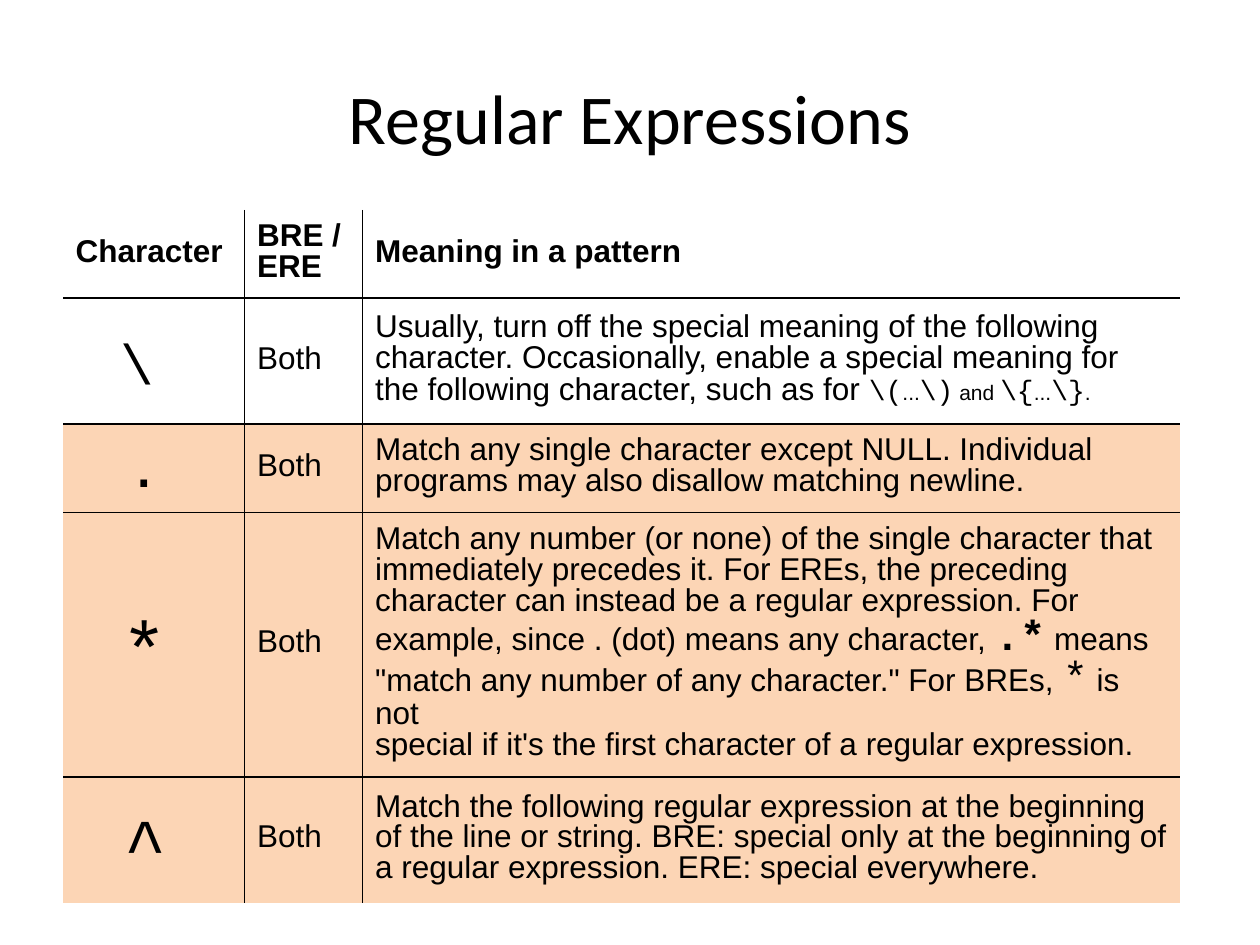
import pptx
import pptx.util
import pptx.oxml.ns
import pptx.dml.color
import pptx.enum.text
import lxml.etree

Pt = pptx.util.Pt
ALIGN = pptx.enum.text.PP_ALIGN
MIDDLE = pptx.enum.text.MSO_ANCHOR.MIDDLE
COLORS = {"ink": "000000", "peach": "FCD5B5"}
SANS, MONO = "Arial", "Courier New"
BODY = (18, SANS, False)
HEAD = (18, SANS, True)
CODE = (16, MONO, False)
SMALL = (12, SANS, False)

COLUMN_WIDTHS = [103.7, 67.5, 467]
ROW_HEIGHTS = [50.4, 72, 50.4, 151.2, 72]
HEADERS = [["Character"], ["BRE /", "ERE"], ["Meaning in a pattern"]]
ENTRIES = [
    ([("\\ ", (32, MONO, False))], 1.25, None, [
        "Usually, turn off the special meaning of the following",
        "character. Occasionally, enable a special meaning for",
        [("the following character, such as for ", BODY),
         ("\\(", CODE), ("...", SMALL), ("\\)", CODE), (" and ", SMALL),
         ("\\{", CODE), ("...", SMALL), ("\\}", CODE), (".", SMALL)],
    ]),
    ([(". ", (40, SANS, False))], 0.87, "peach", [
        "Match any single character except NULL. Individual",
        "programs may also disallow matching newline.",
    ]),
    ([("*", (44, MONO, False)), (" ", (36, SANS, False))], 1.25, "peach", [
        "Match any number (or none) of the single character that",
        "immediately precedes it. For EREs, the preceding",
        "character can instead be a regular expression. For",
        [("example, since . (dot) means any character, ", BODY),
         (".*", (24, MONO, True)), (" means", BODY)],
        [("\"match any number of any character.\" For BREs, ", BODY),
         ("*", (24, MONO, False)), (" is not", BODY)],
        [("special if it's the first character of a regular expression.", BODY),
         (" ", (10, SANS, False))],
    ]),
    ([("^", (40, MONO, False)), (" ", (32, SANS, False))], 1.25, "peach", [
        "Match the following regular expression at the beginning",
        "of the line or string. BRE: special only at the beginning of",
        "a regular expression. ERE: special everywhere.",
    ]),
]


def color(name):
    """Return the named colour."""
    return pptx.dml.color.RGBColor.from_string(COLORS[name])


def style_span(span, size, face, bold):
    """Format one run of text."""
    span.font.size = Pt(size)
    span.font.name = face
    span.font.bold = bold
    span.font.color.rgb = color("ink")


def write_lines(frame, lines, style=BODY, align=ALIGN.LEFT, spacing=0.87):
    """Write each line, a string or a list of styled spans, as a paragraph."""
    for index, line in enumerate(lines):
        para = frame.add_paragraph() if index else frame.paragraphs[0]
        para.alignment = align
        para.line_spacing = spacing
        for text, span_style in [(line, style)] if isinstance(line, str) else line:
            span = para.add_run()
            span.text = text
            style_span(span, *span_style)


def set_borders(cell, visible):
    """Draw the visible sides of a cell and clear the others."""
    properties = cell._tc.get_or_add_tcPr()
    qn = pptx.oxml.ns.qn
    for side in "LRTB":
        line = lxml.etree.SubElement(properties, qn(f"a:ln{side}"), w=str(Pt(1)))
        if side in visible:
            fill = lxml.etree.SubElement(line, qn("a:solidFill"))
            lxml.etree.SubElement(fill, qn("a:srgbClr"), val=COLORS["ink"])
        else:
            lxml.etree.SubElement(line, qn("a:noFill"))


def format_cell(cell, row, column, fill):
    """Set the inner grid lines, fill and margins of a cell."""
    inner = {"L": column > 0, "R": column < len(COLUMN_WIDTHS) - 1,
             "T": row > 0, "B": row < len(ROW_HEIGHTS) - 1}
    set_borders(cell, [side for side, shown in inner.items() if shown])
    if fill:
        cell.fill.solid()
        cell.fill.fore_color.rgb = color(fill)
    else:
        cell.fill.background()
    cell.vertical_anchor = MIDDLE
    cell.margin_left = cell.margin_right = Pt(7.2)
    cell.margin_top, cell.margin_bottom = Pt(2.2), Pt(3.6)


def add_title(page, text):
    """Add the centred slide title."""
    box = page.shapes.add_textbox(Pt(36), Pt(21.6), Pt(648), Pt(90))
    frame = box.text_frame
    frame.word_wrap = True
    frame.vertical_anchor = MIDDLE
    frame.text = text
    frame.paragraphs[0].alignment = ALIGN.CENTER
    style_span(frame.paragraphs[0].runs[0], 40, "Calibri", False)


def add_pattern_table(page):
    """Add the table of special characters and their meanings."""
    frame = page.shapes.add_table(
        len(ROW_HEIGHTS), len(COLUMN_WIDTHS), Pt(36), Pt(120),
        Pt(sum(COLUMN_WIDTHS)), Pt(sum(ROW_HEIGHTS)))
    table = frame.table
    table.first_row = table.horz_banding = False
    for column, width in zip(table.columns, COLUMN_WIDTHS):
        column.width = Pt(width)
    for row, height in zip(table.rows, ROW_HEIGHTS):
        row.height = Pt(height)

    for column, lines in enumerate(HEADERS):
        cell = table.cell(0, column)
        format_cell(cell, 0, column, None)
        write_lines(cell.text_frame, lines, HEAD)

    for row, (symbol, spacing, fill, meaning) in enumerate(ENTRIES, 1):
        cells = [table.cell(row, column) for column in range(len(COLUMN_WIDTHS))]
        for column, cell in enumerate(cells):
            format_cell(cell, row, column, fill)
        if spacing > 1:
            cells[0].margin_top = Pt(3.6)
        write_lines(cells[0].text_frame, [symbol], align=ALIGN.CENTER, spacing=spacing)
        write_lines(cells[1].text_frame, ["Both"])
        write_lines(cells[2].text_frame, meaning)


def main():
    """Build and save the slide."""
    deck = pptx.Presentation()
    deck.slide_width, deck.slide_height = Pt(720), Pt(540)
    page = deck.slides.add_slide(deck.slide_layouts[6])
    add_title(page, "Regular Expressions")
    add_pattern_table(page)
    deck.save("out.pptx")


if __name__ == "__main__":
    main()
